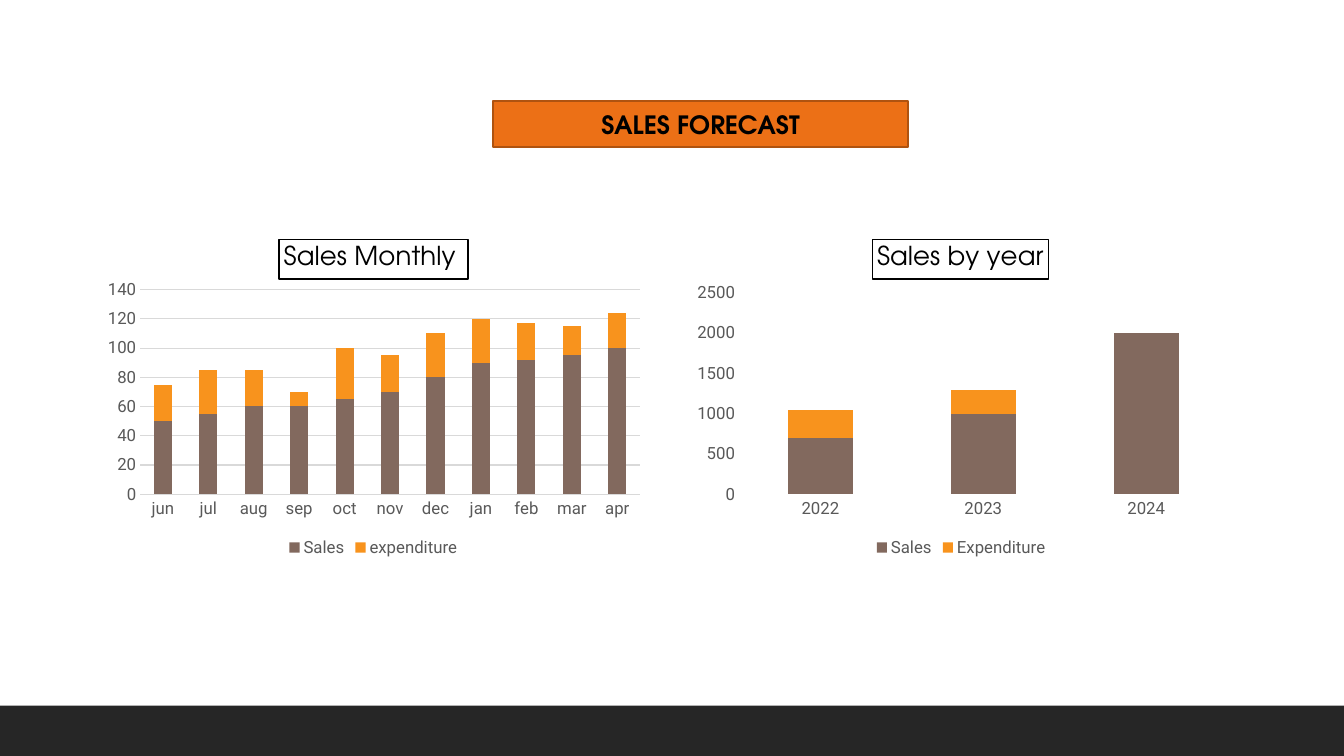
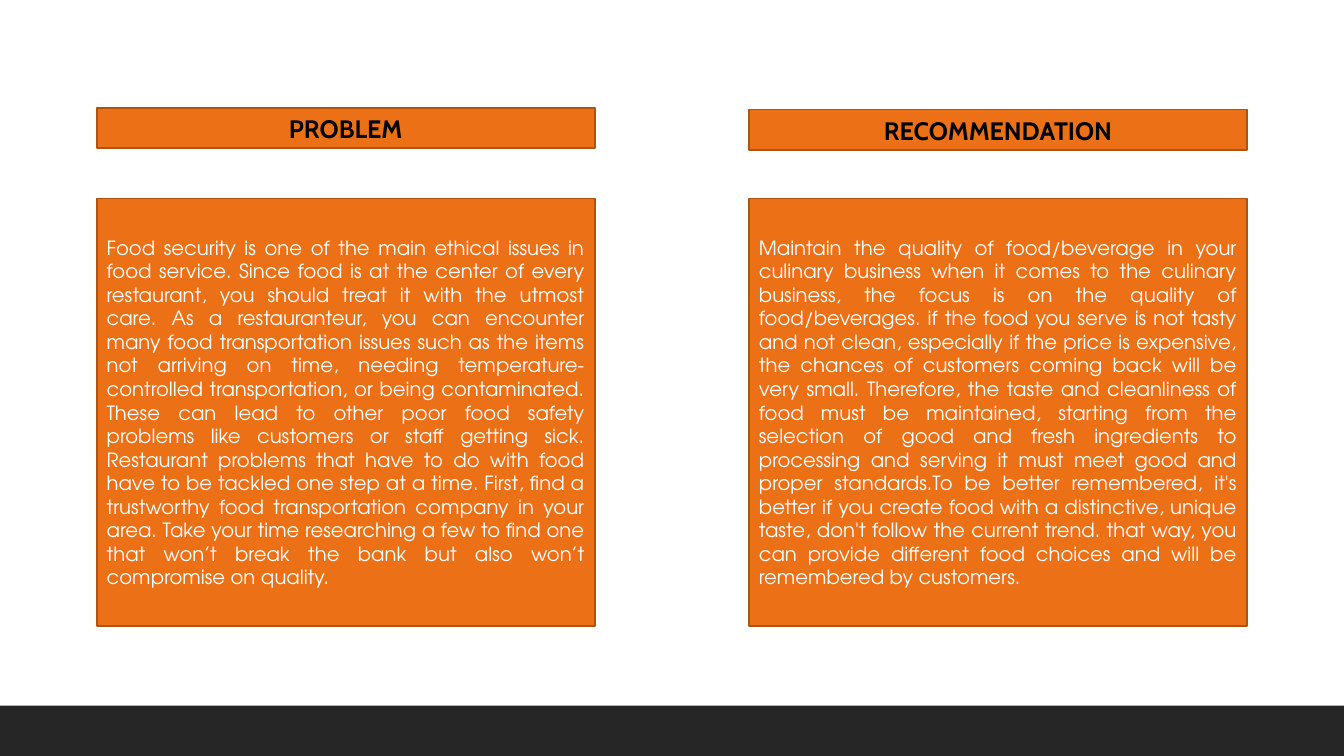
from dataclasses import dataclass

import lxml.etree
import pptx
import pptx.chart.data
import pptx.dml.color
import pptx.enum.chart
import pptx.enum.shapes
import pptx.enum.text
import pptx.oxml
import pptx.oxml.ns
import pptx.util

Pt = pptx.util.Pt
qn = pptx.oxml.ns.qn
ALIGN = pptx.enum.text.PP_ALIGN

SLIDE_W, SLIDE_H = 960, 540
BAND_H = 36
ORANGE, ORANGE_EDGE = "EC7016", "AF5310"
BLACK, WHITE, BAND = "000000", "FFFFFF", "262626"
AXIS_TEXT, GRID = "595959", "D9D9D9"
SERIES_COLORS = ("82695E", "F8931D")
DISPLAY_FONT, HEADING_FONT, CHART_FONT = "TeX Gyre Adventor", "Cabin", "Roboto"
TITLE_ONLY, BLANK = 5, 6

CHART_TOP, CHART_W, CHART_H = 161.3, 396.7, 239.8
PANEL_W, HEADING_H = 355.7, 29
BODY_TOP, BODY_H = 141.8, 305.3


@dataclass(frozen=True)
class Box:
    left: float
    top: float
    width: float
    height: float

    def lengths(self) -> list:
        return [Pt(v) for v in (self.left, self.top, self.width, self.height)]


@dataclass(frozen=True)
class TextStyle:
    font: str
    size: float
    color: str
    bold: bool = False
    align: ALIGN = ALIGN.CENTER


@dataclass(frozen=True)
class SalesChart:
    title: str
    left: float
    categories: tuple
    series: dict
    maximum: int
    step: int
    has_grid: bool
    title_at: tuple
    plot_at: tuple


@dataclass(frozen=True)
class Panel:
    heading: str
    body: str
    left: float
    heading_top: float


TITLE = TextStyle(DISPLAY_FONT, 18, BLACK, bold=True)
HEADING = TextStyle(HEADING_FONT, 18, BLACK, bold=True)
BODY = TextStyle(DISPLAY_FONT, 14, WHITE, align=ALIGN.JUSTIFY)
CHART_TITLE = TextStyle(DISPLAY_FONT, 18.6, BLACK)
CHART_LABEL = TextStyle(CHART_FONT, 12, AXIS_TEXT)

CHARTS = (
    SalesChart(
        "Sales Monthly ", 68.4,
        ("jun", "jul", "aug", "sep", "oct", "nov", "dec", "jan", "feb", "mar", "apr"),
        {
            "Sales": (50, 55, 60, 60, 65, 70, 80, 90, 92, 95, 100),
            "expenditure": (25, 30, 25, 10, 35, 25, 30, 30, 25, 20, 24),
        },
        140, 20, True, (0.33, 0.04), (0.08, 0.19, 0.9, 0.61),
    ),
    SalesChart(
        "Sales by year", 488.2,
        ("2022", "2023", "2024"),
        {"Sales": (700, 1000, 2000), "Expenditure": (350, 300, None)},
        2500, 500, False, (0.34, 0.04), (0.1, 0.2, 0.88, 0.6),
    ),
)

PANELS = (
    Panel(
        "PROBLEM",
        "Food security is one of the main ethical issues in food service. Since food is at "
        "the center of every restaurant, you should treat it with the utmost care. As a "
        "restauranteur, you can encounter many food transportation issues such as the items "
        "not arriving on time, needing temperature-controlled transportation, or being "
        "contaminated. These can lead to other poor food safety problems like customers or "
        "staff getting sick. Restaurant problems that have to do with food have to be tackled "
        "one step at a time. First, find a trustworthy food transportation company in your "
        "area. Take your time researching a few to find one that won’t break the bank but "
        "also won’t compromise on quality.",
        69.1, 77,
    ),
    Panel(
        "RECOMMENDATION",
        "Maintain the quality of food/beverage in your culinary business when it comes to the "
        "culinary business, the focus is on the quality of food/beverages. if the food you "
        "serve is not tasty and not clean, especially if the price is expensive, the chances "
        "of customers coming back will be very small. Therefore, the taste and cleanliness of "
        "food must be maintained, starting from the selection of good and fresh ingredients "
        "to processing and serving it must meet good and proper standards.To be better "
        "remembered, it's better if you create food with a distinctive, unique taste, don't "
        "follow the current trend. that way, you can provide different food choices and will "
        "be remembered by customers.",
        535, 78.3,
    ),
)


def rgb(color: str) -> pptx.dml.color.RGBColor:
    return pptx.dml.color.RGBColor.from_string(color)


def paint(fill, color: str) -> None:
    fill.solid()
    fill.fore_color.rgb = rgb(color)


def style_font(font, style: TextStyle) -> None:
    font.name, font.size, font.bold = style.font, Pt(style.size), style.bold
    font.color.rgb = rgb(style.color)


def write_orange_box(shape, text: str, style: TextStyle) -> None:
    """Give a shape or placeholder the orange look and one paragraph of text."""
    paint(shape.fill, ORANGE)
    paint(shape.line.fill, ORANGE_EDGE)
    shape.line.width = Pt(1.25)
    frame = shape.text_frame
    frame.text = text
    frame.word_wrap = True
    frame.auto_size = pptx.enum.text.MSO_AUTO_SIZE.NONE
    frame.vertical_anchor = pptx.enum.text.MSO_ANCHOR.MIDDLE
    paragraph = frame.paragraphs[0]
    paragraph.alignment = style.align
    style_font(paragraph.font, style)


def add_rectangle(slide, box: Box):
    rectangle = slide.shapes.add_shape(
        pptx.enum.shapes.MSO_SHAPE.RECTANGLE, *box.lengths())
    rectangle.shadow.inherit = False
    return rectangle


def add_master_band(presentation, slide) -> None:
    """Draw the bottom band on a slide, then move it to the master for all slides."""
    band = add_rectangle(slide, Box(0, SLIDE_H - BAND_H, SLIDE_W, BAND_H))
    paint(band.fill, BAND)
    band.line.fill.background()
    presentation.slide_master.shapes.element.append(band.element)


def set_layout(parent, fractions: tuple) -> None:
    """Place a chart title (x, y) or the inner plot (x, y, w, h) in chart fractions."""
    layout = parent.find(qn("c:layout"))
    if layout is None:
        layout = parent.makeelement(qn("c:layout"))
        parent.insert(0, layout)
    for child in list(layout):
        layout.remove(child)
    manual = lxml.etree.SubElement(layout, qn("c:manualLayout"))
    settings = [("xMode", "edge"), ("yMode", "edge"), *zip("xywh", fractions)]
    if len(fractions) == 4:
        settings.insert(0, ("layoutTarget", "inner"))
    for tag, value in settings:
        lxml.etree.SubElement(manual, qn(f"c:{tag}")).set("val", str(value))


def clear_chart_area(chart) -> None:
    """Leave the chart area without fill or border."""
    chart.element.find(qn("c:chart")).addnext(pptx.oxml.parse_xml(
        f'<c:spPr {pptx.oxml.ns.nsdecls("c", "a")}>'
        "<a:noFill/><a:ln><a:noFill/></a:ln></c:spPr>"))


def add_sales_chart(slide, sales: SalesChart) -> None:
    data = pptx.chart.data.CategoryChartData()
    data.categories = sales.categories
    for name, values in sales.series.items():
        data.add_series(name, values)
    box = Box(sales.left, CHART_TOP, CHART_W, CHART_H)
    chart = slide.shapes.add_chart(
        pptx.enum.chart.XL_CHART_TYPE.COLUMN_STACKED, *box.lengths(), data).chart
    style_font(chart.font, CHART_LABEL)
    clear_chart_area(chart)

    chart.has_title = True
    title = chart.chart_title
    title.text_frame.text = sales.title
    style_font(title.text_frame.paragraphs[0].font, CHART_TITLE)
    paint(title.format.line.fill, BLACK)
    title.format.line.width = Pt(1)
    title.include_in_layout = False
    set_layout(title.element, sales.title_at)
    set_layout(next(chart.element.iter(qn("c:plotArea"))), sales.plot_at)

    plot = chart.plots[0]
    plot.gap_width, plot.overlap = 150, 100
    plot.vary_by_categories = False
    for series, color in zip(plot.series, SERIES_COLORS):
        paint(series.format.fill, color)

    for axis in (chart.category_axis, chart.value_axis):
        axis.major_tick_mark = pptx.enum.chart.XL_TICK_MARK.NONE
        axis.format.line.fill.background()
        style_font(axis.tick_labels.font, CHART_LABEL)
    scale = chart.value_axis
    scale.minimum_scale, scale.maximum_scale = 0, sales.maximum
    scale.major_unit = sales.step
    scale.has_major_gridlines = sales.has_grid
    if sales.has_grid:
        grid_line = scale.major_gridlines.format.line
        paint(grid_line.fill, GRID)
        grid_line.width = Pt(0.75)

    chart.has_legend = True
    chart.legend.position = pptx.enum.chart.XL_LEGEND_POSITION.BOTTOM
    chart.legend.include_in_layout = False
    style_font(chart.legend.font, CHART_LABEL)


def add_panel(slide, panel: Panel) -> None:
    heading = Box(panel.left, panel.heading_top, PANEL_W, HEADING_H)
    body = Box(panel.left, BODY_TOP, PANEL_W, BODY_H)
    write_orange_box(add_rectangle(slide, heading), panel.heading, HEADING)
    write_orange_box(add_rectangle(slide, body), panel.body, BODY)


def build_forecast(presentation):
    slide = presentation.slides.add_slide(presentation.slide_layouts[TITLE_ONLY])
    title = slide.shapes.title
    title.left, title.top, title.width, title.height = Box(352, 72, 296.7, 33.2).lengths()
    write_orange_box(title, "SALES FORECAST", TITLE)
    for sales in CHARTS:
        add_sales_chart(slide, sales)
    return slide


def build_problem_and_recommendation(presentation) -> None:
    slide = presentation.slides.add_slide(presentation.slide_layouts[BLANK])
    for panel in PANELS:
        add_panel(slide, panel)


def main() -> None:
    presentation = pptx.Presentation()
    presentation.slide_width, presentation.slide_height = Pt(SLIDE_W), Pt(SLIDE_H)
    forecast = build_forecast(presentation)
    add_master_band(presentation, forecast)
    build_problem_and_recommendation(presentation)
    presentation.save("out.pptx")


if __name__ == "__main__":
    main()
